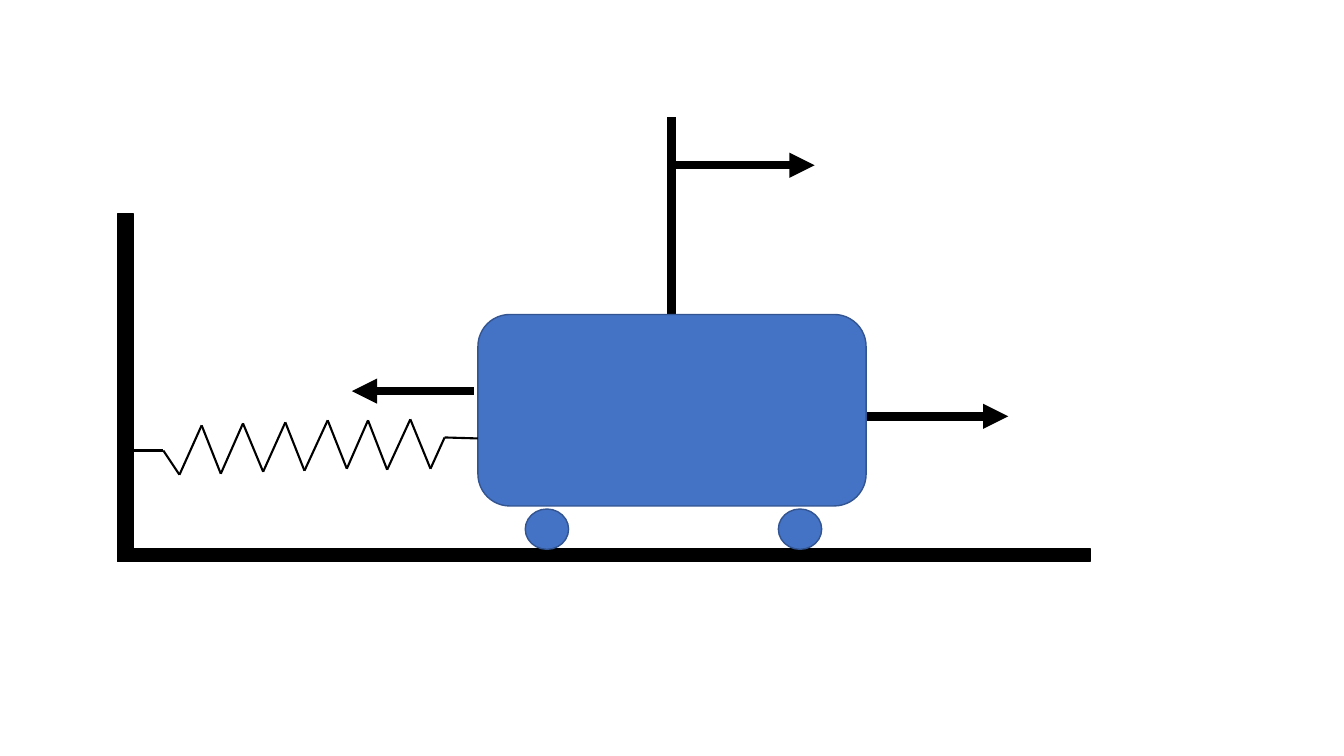
from itertools import pairwise

from lxml import etree
from pptx import Presentation
from pptx.dml.color import RGBColor
from pptx.enum.shapes import MSO_CONNECTOR, MSO_SHAPE
from pptx.oxml.ns import qn
from pptx.util import Inches, Pt

STRAIGHT = MSO_CONNECTOR.STRAIGHT
RECTANGLE = MSO_SHAPE.RECTANGLE
ROUNDED = MSO_SHAPE.ROUNDED_RECTANGLE
OVAL = MSO_SHAPE.OVAL
BLACK, BLUE, DARK_BLUE = "000000", "4472C4", "325491"

deck = Presentation()
deck.slide_width = Inches(13.33)
deck.slide_height = Inches(7.5)
slide = deck.slides.add_slide(deck.slide_layouts[6])


def add_line(start, end, weight, arrow=False):
    line = slide.shapes.add_connector(STRAIGHT, *map(Inches, start + end))
    line.line.color.rgb = RGBColor.from_string(BLACK)
    line.line.width = Pt(weight)
    if arrow:
        etree.SubElement(line.line._get_or_add_ln(), qn("a:tailEnd"), type="triangle")
    etree.SubElement(line._element.spPr, qn("a:effectLst"))


def add_solid(kind, bounds, fill, outline):
    solid = slide.shapes.add_shape(kind, *map(Inches, bounds))
    solid.shadow.inherit = False
    solid.fill.solid()
    solid.fill.fore_color.rgb = RGBColor.from_string(fill)
    solid.line.color.rgb = RGBColor.from_string(outline)
    solid.line.width = Pt(1)


add_line((6.66, 3.12), (6.66, 1.16), 6)
force_arrows = [
    ((8.59, 4.13), (10, 4.13)),
    ((6.66, 1.64), (8.08, 1.64)),
    ((4.7, 3.88), (3.49, 3.88)),
]
for start, end in force_arrows:
    add_line(start, end, 6, arrow=True)

floor = (1.17, 5.44, 9.64, 0.13)
wall = (1.17, 2.12, 0.15, 3.45)
for bounds in (floor, wall):
    add_solid(RECTANGLE, bounds, BLACK, BLACK)

add_solid(ROUNDED, (4.74, 3.12, 3.85, 1.9), BLUE, DARK_BLUE)
for wheel_left in (5.21, 7.72):
    add_solid(OVAL, (wheel_left, 5.05, 0.43, 0.4), BLUE, DARK_BLUE)

spring_points = [
    (1.28, 4.47), (1.62, 4.47), (1.78, 4.71),
    (2, 4.22), (2.19, 4.7), (2.41, 4.2), (2.61, 4.68),
    (2.83, 4.19), (3.02, 4.67), (3.25, 4.17), (3.44, 4.65),
    (3.65, 4.17), (3.84, 4.66), (4.07, 4.16), (4.27, 4.65),
    (4.41, 4.34), (4.74, 4.35),
]
for start, end in pairwise(spring_points):
    add_line(start, end, 1.5)

deck.save("out.pptx")
